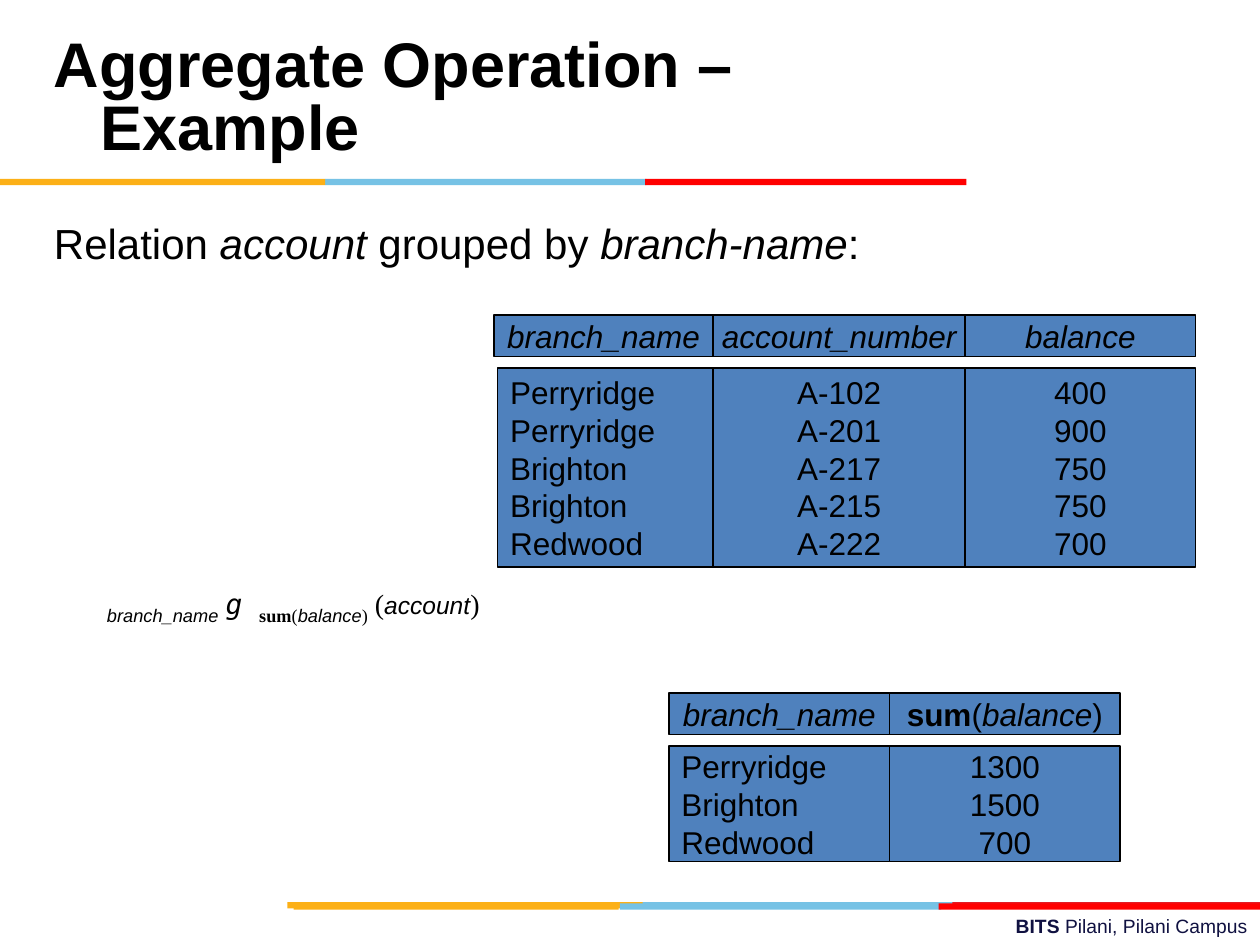
"""Build the slide on aggregate operations with two grouped relations."""
from dataclasses import dataclass, replace

from pptx import Presentation
from pptx import util as u
from pptx.dml.color import RGBColor
from pptx.enum import shapes, text

BLACK, NAVY, BLUE = "000000", "101141", "4F81BD"
GOLD, SKY, CRIMSON, RED = "FCB017", "76C2E5", "E31C24", "FF0000"
LEFT, CENTER, RIGHT = text.PP_ALIGN.LEFT, text.PP_ALIGN.CENTER, text.PP_ALIGN.RIGHT
HEADER_HEIGHT, BODY_OFFSET = 0.33, 0.42


@dataclass(frozen=True)
class Span:
    text: str
    size: float = 18
    font: str = "Arial"
    color: str = BLACK
    bold: bool = False
    italic: bool = False
    baseline: int = 0


@dataclass(frozen=True)
class Area:
    left: float
    top: float
    width: float
    height: float

    def lengths(self) -> list:
        return [u.Inches(v) for v in (self.left, self.top, self.width, self.height)]


@dataclass(frozen=True)
class Column:
    header: list
    values: list
    width: float
    align: text.PP_ALIGN = CENTER
    body_shift: float = 0


def rgb(value: str) -> RGBColor:
    return RGBColor.from_string(value)


def add_spans(para, spans: list) -> None:
    for item in spans:
        span = para.add_run()
        span.text = item.text
        span.font.size = u.Pt(item.size)
        span.font.name = item.font
        span.font.bold = item.bold
        span.font.italic = item.italic
        span.font.color.rgb = rgb(item.color)
        if item.baseline:
            span._r.get_or_add_rPr().set("baseline", str(item.baseline * 1000))


def fill_frame(frame, lines: list, align: text.PP_ALIGN) -> None:
    for index, spans in enumerate(lines):
        para = frame.add_paragraph() if index else frame.paragraphs[0]
        para.alignment = align
        add_spans(para, spans)


def add_text(page, area: Area, spans: list, align: text.PP_ALIGN = LEFT,
             anchor: text.MSO_ANCHOR = text.MSO_ANCHOR.TOP, hanging: float = 0):
    box = page.shapes.add_textbox(*area.lengths())
    box.text_frame.word_wrap = True
    box.text_frame.vertical_anchor = anchor
    fill_frame(box.text_frame, [spans], align)
    para = box.text_frame.paragraphs[0]
    if hanging:
        properties = para._p.get_or_add_pPr()
        properties.set("marL", str(u.Inches(hanging)))
        properties.set("indent", str(u.Inches(-hanging)))
    return para


def add_rectangle(page, area: Area, fill: str):
    box = page.shapes.add_shape(shapes.MSO_SHAPE.RECTANGLE, *area.lengths())
    box.shadow.inherit = False
    box.fill.solid()
    box.fill.fore_color.rgb = rgb(fill)
    box.line.fill.background()
    return box


def add_cell(page, area: Area, lines: list, align: text.PP_ALIGN) -> None:
    box = add_rectangle(page, area, BLUE)
    box.line.color.rgb = rgb(BLACK)
    box.line.width = u.Pt(0.75)
    box.text_frame.word_wrap = False
    box.text_frame.vertical_anchor = text.MSO_ANCHOR.MIDDLE
    fill_frame(box.text_frame, lines, align)


def add_relation(page, left: float, top: float, body_height: float, columns: list) -> None:
    lefts = [left + sum(c.width for c in columns[:i]) for i in range(len(columns))]
    for x, column in zip(lefts, columns):
        add_cell(page, Area(x, top, column.width, HEADER_HEIGHT), [column.header], CENTER)
    for x, column in zip(lefts, columns):
        area = Area(x + column.body_shift, top + BODY_OFFSET, column.width, body_height)
        add_cell(page, area, [[Span(value)] for value in column.values], column.align)


def add_stripe(page, top: float, bands: list) -> None:
    for left, width, color in bands:
        add_rectangle(page, Area(left, top, width, 0.05), color)


def main() -> None:
    deck = Presentation()
    deck.slide_width, deck.slide_height = u.Inches(10), u.Inches(7.5)
    page = deck.slides.add_slide(deck.slide_layouts[6])

    campus = Span("BITS ", size=11, color=NAVY, bold=True)
    add_text(page, Area(3.58, 7.21, 6.42, 0.29),
             [campus, replace(campus, text="Pilani, Pilani Campus", bold=False)], RIGHT)
    add_stripe(page, 7.16, [(5.06, 2.55, SKY), (7.56, 2.44, CRIMSON), (2.28, 2.82, GOLD)])
    add_stripe(page, 7.17, [(4.92, 2.55, SKY), (2.33, 2.58, GOLD), (7.45, 2.55, RED)])
    add_stripe(page, 1.42, [(2.58, 2.55, SKY), (0, 2.58, GOLD), (5.12, 2.55, RED)])

    words = ["Relation ", "account", " grouped by ", "branch-name", ":"]
    add_text(page, Area(0.33, 1.68, 9, 4.9),
             [Span(word, size=24, italic=i % 2 == 1) for i, word in enumerate(words)],
             hanging=0.38)
    title = add_text(page, Area(0.33, 0.17, 6.92, 1.25),
                     [Span("Aggregate Operation – Example", size=36, bold=True)],
                     anchor=text.MSO_ANCHOR.MIDDLE, hanging=0.37)
    title.line_spacing = u.Pt(36)

    branch = Span("branch_name", italic=True)
    balance = Span("balance", italic=True)
    add_relation(page, 3.92, 2.5, 1.58, [
        Column([branch], ["Perryridge", "Perryridge", "Brighton", "Brighton", "Redwood"],
               1.74, LEFT, 0.03),
        Column([Span("account_number", italic=True)],
               ["A-102", "A-201", "A-217", "A-215", "A-222"], 2),
        Column([balance], ["400", "900", "750", "750", "700"], 1.83),
    ])
    add_relation(page, 5.31, 5.5, 0.92, [
        Column([branch], ["Perryridge", "Brighton", "Redwood"], 1.75, LEFT),
        Column([Span("sum", bold=True), Span("("), balance, Span(")")],
               ["1300", "1500", "700"], 1.83),
    ])

    serif = Span(" ", size=16, font="Times New Roman")
    low_serif = replace(serif, size=18, baseline=-25)
    add_text(page, Area(0.75, 4.58, 3.58, 0.44), [
        replace(branch, baseline=-25),
        serif,
        Span("g ", size=16, font="DejaVu Sans Mono", italic=True),
        replace(low_serif, text="sum", bold=True),
        replace(low_serif, text="("),
        replace(balance, baseline=-25),
        replace(low_serif, text=")"),
        replace(serif, text=" ("),
        Span("account", size=14, italic=True),
        replace(serif, text=")"),
    ])
    deck.save("out.pptx")


if __name__ == "__main__":
    main()
